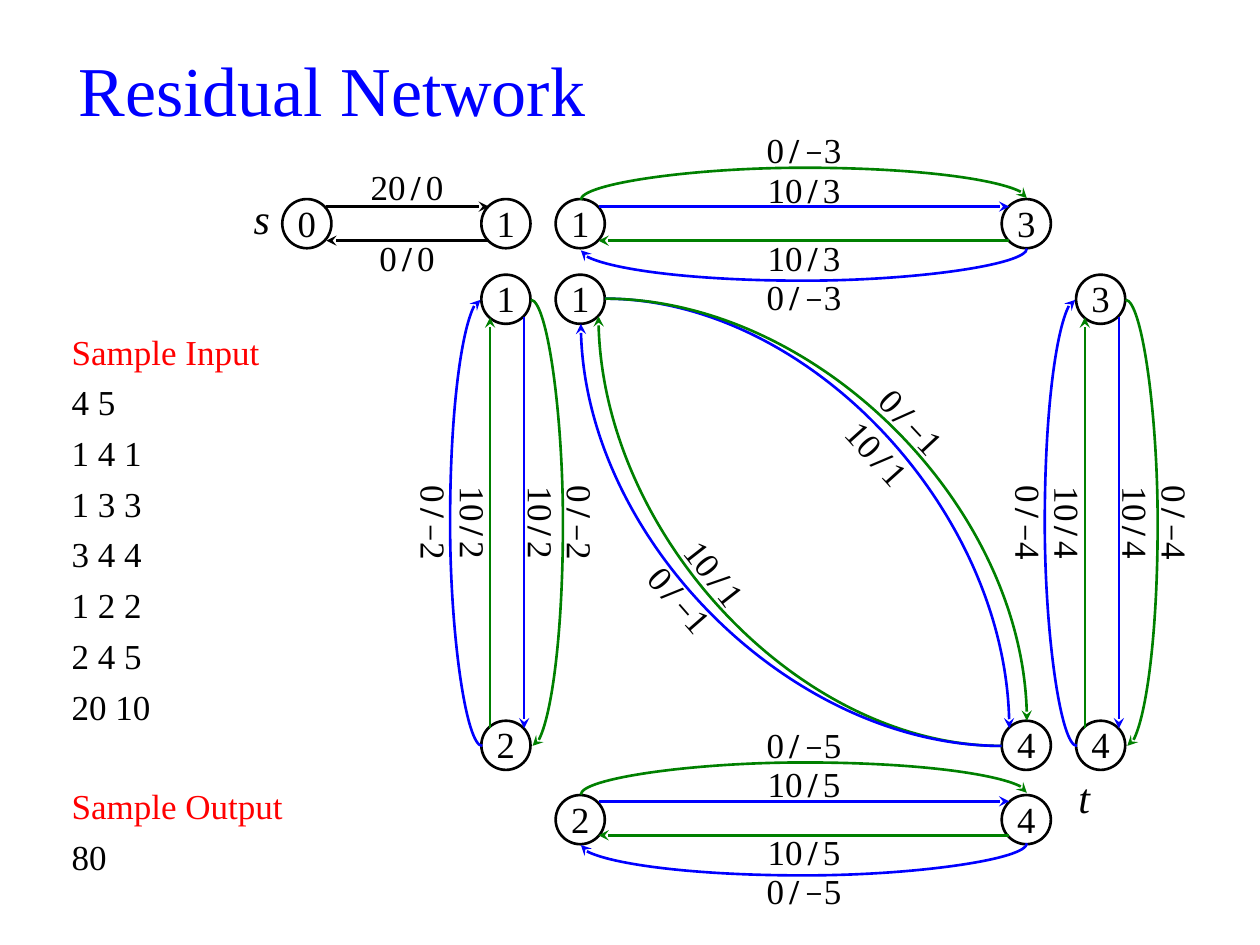
from math import cos, radians, sin

from lxml import etree
from pptx import Presentation
from pptx.dml.color import RGBColor
from pptx.enum.shapes import MSO_CONNECTOR, MSO_SHAPE
from pptx.enum.text import MSO_ANCHOR, MSO_AUTO_SIZE, PP_ALIGN
from pptx.oxml.ns import qn
from pptx.util import Inches, Pt

BLACK = RGBColor(0, 0, 0)
WHITE = RGBColor(255, 255, 255)
BLUE = RGBColor(0, 0, 255)
GREEN = RGBColor(0, 128, 0)
RED = RGBColor(255, 0, 0)
STRAIGHT, CURVE = MSO_CONNECTOR.STRAIGHT, MSO_CONNECTOR.CURVE
OVAL = MSO_SHAPE.OVAL
MIDDLE, TOP = MSO_ANCHOR.MIDDLE, MSO_ANCHOR.TOP
LEFT, CENTER, RIGHT = PP_ALIGN.LEFT, PP_ALIGN.CENTER, PP_ALIGN.RIGHT
NO_AUTOSIZE = MSO_AUTO_SIZE.NONE
FONT, MINUS_FONT = "Times New Roman", "Cambria"
MINUS = "\u2212"
NODE = 0.39
NO_INSETS = (0, 0, 0, 0)
BOW_WIDTH, BOW_LENGTH, BOW_FACTOR = 0.014, 3.54, 18


class NetworkSlide:
    """Draws the parts of a flow network on one slide."""

    def __init__(self, deck):
        """Add a title-only slide to the deck."""
        self.slide = deck.slides.add_slide(deck.slide_layouts[5])
        self.shapes = self.slide.shapes

    def style(self, run, size, color=BLACK, italic=False):
        """Format one run."""
        run.font.name = FONT
        run.font.size = Pt(size)
        run.font.color.rgb = color
        run.font.italic = italic

    def frame(self, box, insets, anchor=MIDDLE, wrap=False):
        """Set insets (left, top, right, bottom) and layout of the text."""
        frame = box.text_frame
        frame.auto_size = NO_AUTOSIZE
        frame.word_wrap = wrap
        frame.vertical_anchor = anchor
        (frame.margin_left, frame.margin_top,
         frame.margin_right, frame.margin_bottom) = map(Inches, insets)
        return frame

    def title(self, text):
        """Place and format the title."""
        box = self.shapes.title
        box.left, box.top = Inches(0.47), Inches(0.21)
        box.width, box.height = Inches(4.33), Inches(0.98)
        para = self.frame(box, (0.1, 0.05, 0.1, 0.05), wrap=True).paragraphs[0]
        para.text = text
        para.alignment = CENTER
        self.style(para.runs[0], 40, BLUE)

    def samples(self, groups):
        """Write the headed groups of sample lines."""
        box = self.shapes.add_textbox(
            Inches(0.47), Inches(2.57), Inches(1.97), Inches(4.33))
        frame = self.frame(box, (0.1, 0.05, 0.1, 0.05), TOP, True)
        para = frame.paragraphs[0]
        for group, (heading, lines) in enumerate(groups):
            for index, line in enumerate([heading] + lines):
                if group or index:
                    para = frame.add_paragraph()
                para.text = line
                para.alignment = LEFT
                para.space_before = Pt(33 if group and not index else 5)
                self.style(para.runs[0], 20, BLACK if index else RED)

    def node(self, left, top, number):
        """Draw a numbered circle."""
        circle = self.shapes.add_shape(
            OVAL, Inches(left), Inches(top), Inches(NODE), Inches(NODE))
        circle.shadow.inherit = False
        circle.fill.solid()
        circle.fill.fore_color.rgb = WHITE
        circle.line.color.rgb = BLACK
        circle.line.width = Pt(1.5)
        para = self.frame(circle, (0, 0, 0, 0.02), wrap=True).paragraphs[0]
        para.text = str(number)
        para.alignment = CENTER
        self.style(para.runs[0], 21)

    def letter(self, left, top, text, insets, alignment):
        """Name a terminal node with an italic letter."""
        box = self.shapes.add_textbox(
            Inches(left), Inches(top), Inches(NODE), Inches(NODE))
        para = self.frame(box, insets).paragraphs[0]
        para.text = text
        para.alignment = alignment
        self.style(para.runs[0], 24, italic=True)

    def label(self, center, text, insets=NO_INSETS, rotation=0):
        """Write a capacity / cost label around its centre."""
        x, y = center
        box = self.shapes.add_textbox(
            Inches(x - 0.395), Inches(y - NODE / 2), Inches(0.79), Inches(NODE))
        box.rotation = rotation
        para = self.frame(box, insets).paragraphs[0]
        para.alignment = CENTER
        slash = text.index("/")
        for index, character in enumerate(text):
            run = para.add_run()
            run.text = character
            self.style(run, 20)
            run.font.bold = index == slash
            if character == MINUS:
                run.font.name = MINUS_FONT
            if index in (slash - 1, slash):
                run.font._element.set("spc", "300")

    def arrow(self, start, end, color, kind=STRAIGHT):
        """Draw a connector with a stealth head at its end."""
        line = self.shapes.add_connector(kind, *map(Inches, start + end))
        line.line.color.rgb = color
        line.line.width = Pt(1.5)
        etree.SubElement(line.line._get_or_add_ln(), qn("a:tailEnd"),
                         type="stealth", w="med", len="med")
        etree.SubElement(line._element.spPr, qn("a:effectLst"))
        return line

    def bow(self, center, rotation, color):
        """Draw an arrow that bulges outwards; at 0 degrees it bulges right."""
        x, y = center
        half_width, half_length = BOW_WIDTH / 2, BOW_LENGTH / 2
        line = self.arrow((x - half_width, y - half_length),
                          (x + half_width, y + half_length), color, CURVE)
        properties = line._element.spPr
        transform = properties.find(qn("a:xfrm"))
        if rotation == 270:
            rotation = 90
            transform.set("flipH", "1")
            transform.set("flipV", "1")
        transform.set("rot", str(rotation * 60000))
        guides = properties.find(qn("a:prstGeom")).get_or_add_avLst()
        etree.SubElement(guides, qn("a:gd"), name="adj1",
                         fmla=f"val {BOW_FACTOR * 100000}")

    def arc(self, start, end, color, rotation=0):
        """Draw a quarter-curve arrow inside the box of two corners."""
        line = self.arrow(start, end, color, CURVE)
        properties = line._element.spPr
        properties.find(qn("a:prstGeom")).set("prst", "curvedConnector2")
        properties.find(qn("a:xfrm")).set("rot", str(rotation * 60000))

    def bundle(self, center, rotation, cost):
        """Draw the four arrows and labels between a pair of nodes."""
        angle = radians(rotation)

        def at(along, across):
            """Turn a place relative to the bundle into slide inches."""
            return (center[0] + along * cos(angle) - across * sin(angle),
                    center[1] + along * sin(angle) + across * cos(angle))

        self.arrow(at(-1.63, -0.14), at(1.63, -0.14), BLUE)
        self.arrow(at(1.63, 0.13), at(-1.63, 0.13), GREEN)
        self.bow(at(0, -0.2), (270 + rotation) % 360, GREEN)
        self.bow(at(0, 0.2), 90 + rotation, BLUE)
        for across, text, insets in (
                (-0.59, f"0/{MINUS}{cost}", NO_INSETS),
                (-0.2, f"10/{cost}", (0, 0, 0, 0.16)),
                (0.2, f"10/{cost}", (0, 0.12, 0, 0)),
                (0.59, f"0/{MINUS}{cost}", (0, 0, 0, 0.04))):
            self.label(at(0, across), text, insets, rotation)


def main():
    """Build and save the slide."""
    deck = Presentation()
    deck.slide_width, deck.slide_height = Inches(10), Inches(7.5)
    page = NetworkSlide(deck)
    page.title("Residual Network")
    page.samples([
        ("Sample Input",
         ["4 5", "1 4 1", "1 3 3", "3 4 4", "1 2 2", "2 4 5", "20 10"]),
        ("Sample Output", ["80"])])

    for top, row in (
            (1.58, ((2.24, 0), (3.82, 1), (4.41, 1), (7.95, 3))),
            (2.18, ((3.82, 1), (4.41, 1), (8.54, 3))),
            (5.72, ((3.82, 2), (7.95, 4), (8.54, 4))),
            (6.31, ((4.41, 2), (7.95, 4)))):
        for left, number in row:
            page.node(left, top, number)

    for center, rotation, cost in (
            ((6.38, 1.78), 0, 3), ((6.38, 6.5), 0, 5),
            ((4.02, 4.15), 90, 2), ((8.74, 4.15), 90, 4)):
        page.bundle(center, rotation, cost)

    page.arrow((2.59, 1.64), (3.88, 1.64), BLACK)
    page.arrow((3.88, 1.91), (2.59, 1.91), BLACK)
    page.label((3.23, 1.58), "20/0", (0, 0, 0, 0.2))
    page.label((3.23, 1.98), "0/0", (0, 0.12, 0, 0))

    page.arc((4.8, 2.37), (8.01, 5.78), BLUE)
    page.arc((4.8, 2.37), (8.15, 5.72), GREEN)
    page.arc((4.75, 2.51), (7.95, 5.92), GREEN, 180)
    page.arc((4.61, 2.57), (7.95, 5.92), BLUE, 180)
    page.label((7.18, 3.4), f"0/{MINUS}1", (0, 0, 0, 0.16), 47)
    page.label((5.74, 4.5), "10/1", (0, 0.16, 0, 0), 52)
    page.label((6.98, 3.58), "10/1", (0, 0.04, 0, 0), 48)
    page.label((5.4, 4.76), f"0/{MINUS}1", NO_INSETS, 49)

    page.letter(1.85, 1.58, "s", (0.1, 0, 0.1, 0.1), RIGHT)
    page.letter(8.35, 6.11, "t", (0.12, 0.04, 0, 0), CENTER)
    deck.save("out.pptx")


main()
